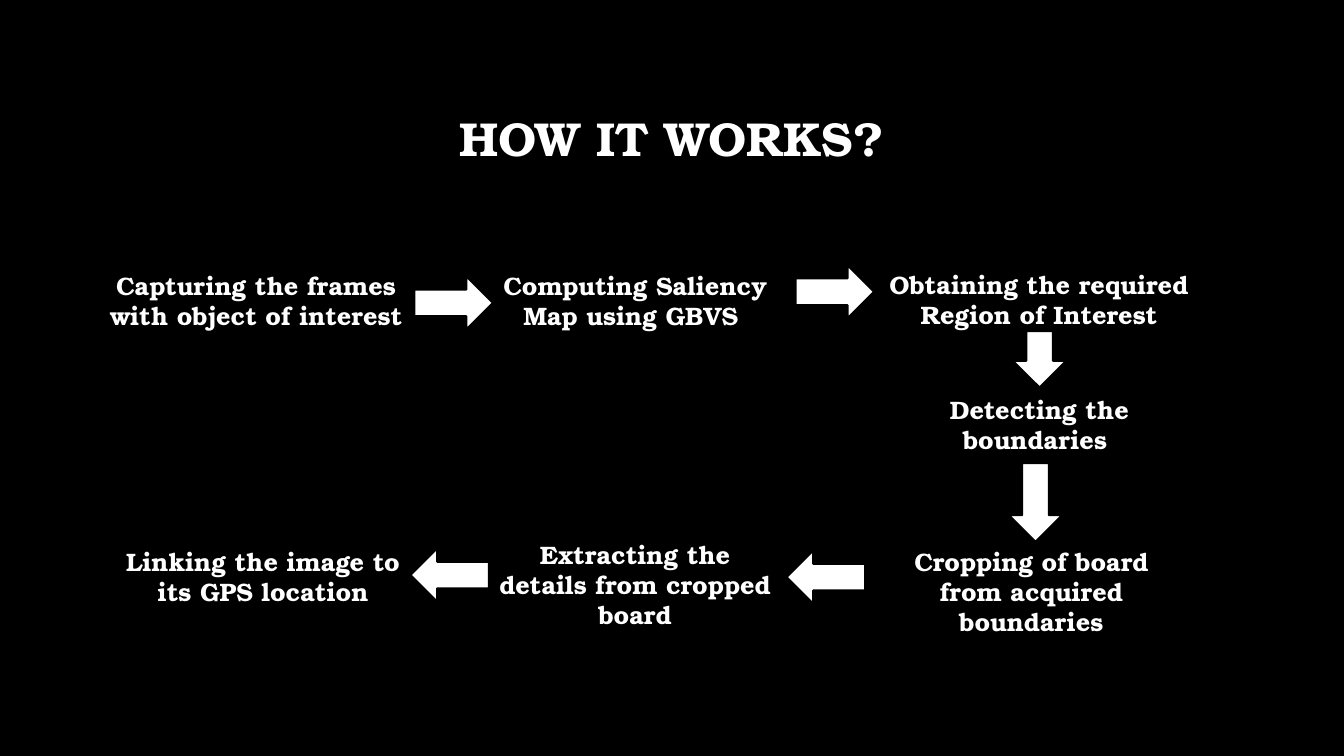
from pptx import Presentation
from pptx.dml.color import RGBColor
from pptx.enum.shapes import MSO_SHAPE as Shape
from pptx.enum.text import MSO_ANCHOR as Anchor, MSO_AUTO_SIZE as AutoSize, PP_ALIGN as Align
from pptx.util import Inches, Pt

COLORS = {"background": "000000", "text": "FFFFFF", "arrow": "FFFFFF", "outline": "000000"}
FONT = "TeX Gyre Bonum"
STEP_HEIGHT = 0.71
ARROW_HEIGHT = 0.53

# Step text, left, top, width
STEPS = [
    ("Capturing the frames with object of interest", 0.98, 2.63, 3.12),
    ("Computing Saliency Map using GBVS ", 4.8, 2.63, 3),
    ("Obtaining the required Region of Interest", 8.67, 2.62, 3.27),
    ("Detecting the boundaries ", 8.81, 3.86, 3),
    ("Cropping of board from acquired boundaries", 8.67, 5.37, 3.12),
    ("Extracting the details from cropped board", 4.8, 5.3, 3),
    ("Linking the image to its GPS location", 1.11, 5.37, 3),
]

# Arrow left, top, length, rotation
ARROWS = [
    (4.11, 2.74, 0.78, 0),
    (7.89, 2.63, 0.78, 0),
    (10.03, 3.3, 0.56, 90),
    (9.88, 4.72, 0.78, 90),
    (7.8, 5.46, 0.78, 180),
    (4.07, 5.44, 0.78, 180),
]


def color(name):
    return RGBColor.from_string(COLORS[name])


class FlowSlide:
    def __init__(self, deck):
        self.page = deck.slides.add_slide(deck.slide_layouts[6])
        fill = self.page.background.fill
        fill.solid()
        fill.fore_color.rgb = color("background")

    def text(self, words, left, top, width, height, size=18):
        box = self.page.shapes.add_textbox(
            Inches(left), Inches(top), Inches(width), Inches(height))
        frame = box.text_frame
        frame.word_wrap = True
        para = frame.paragraphs[0]
        para.alignment = Align.CENTER
        span = para.add_run()
        span.text = words
        span.font.name = FONT
        span.font.size = Pt(size)
        span.font.bold = True
        span.font.color.rgb = color("text")
        return frame

    def title(self, words, left, top, width, height):
        frame = self.text(words, left, top, width, height, size=34)
        frame.vertical_anchor = Anchor.MIDDLE
        frame.paragraphs[0].line_spacing = 0.9

    def step(self, words, left, top, width):
        frame = self.text(words, left, top, width, STEP_HEIGHT)
        frame.auto_size = AutoSize.SHAPE_TO_FIT_TEXT

    def arrow(self, left, top, length, rotation):
        arrow = self.page.shapes.add_shape(
            Shape.RIGHT_ARROW, Inches(left), Inches(top), Inches(length), Inches(ARROW_HEIGHT))
        arrow.rotation = rotation
        arrow.shadow.inherit = False
        arrow.fill.solid()
        arrow.fill.fore_color.rgb = color("arrow")
        arrow.line.color.rgb = color("outline")
        arrow.line.width = Pt(1.5)


def main():
    deck = Presentation()
    deck.slide_width = Inches(13.33)
    deck.slide_height = Inches(7.5)
    slide = FlowSlide(deck)

    # Heading
    slide.title("HOW IT WORKS?", 1, 0.67, 11.32, 1.45)

    # Process steps
    for step in STEPS:
        slide.step(*step)

    # Arrows between the steps
    for arrow in ARROWS:
        slide.arrow(*arrow)

    deck.save("out.pptx")


if __name__ == "__main__":
    main()
